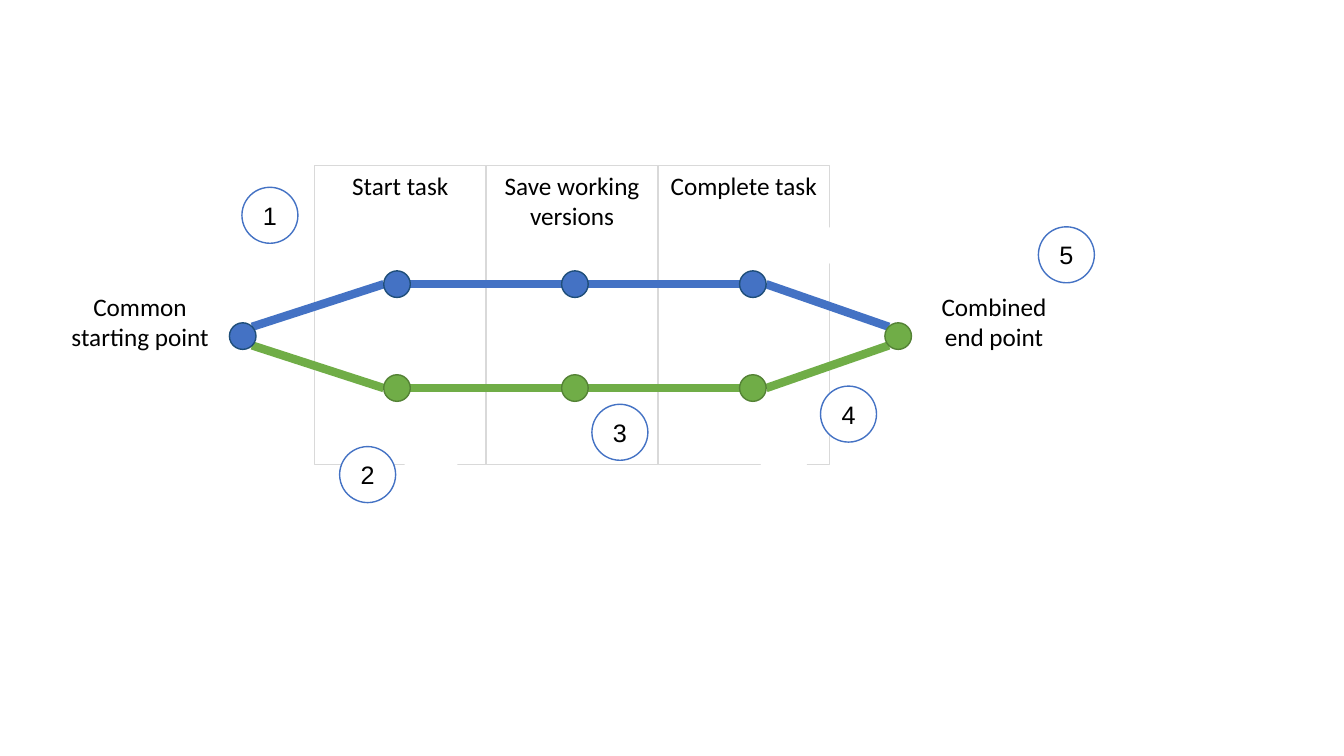
from itertools import pairwise

from pptx import Presentation
from pptx.dml.color import RGBColor
from pptx.enum import shapes, text
from pptx.oxml.ns import qn
from pptx.util import Pt

COLOURS = {
    "white": "FFFFFF", "black": "000000", "grid": "D9D9D9",
    "blue": "4472C4", "navy": "1F4E79", "green": "70AD47", "moss": "548235",
}
RECTANGLE = shapes.MSO_SHAPE.RECTANGLE
OVAL = shapes.MSO_SHAPE.OVAL
NODE = 19
BADGE = 40
GAP = 42.5
STEP = 127.1
CORNER = NODE / 2 * 0.7


def colour(name):
    return RGBColor.from_string(COLOURS[name])


def write(box, words, font="Calibri", size=18, fill="black",
          anchor=text.MSO_ANCHOR.TOP, wrap=True):
    frame = box.text_frame
    frame.word_wrap = wrap
    frame.vertical_anchor = anchor
    para = frame.paragraphs[0]
    para.alignment = text.PP_ALIGN.CENTER
    span = para.add_run()
    span.text = words
    span.font.name = font
    span.font.size = Pt(size)
    span.font.color.rgb = colour(fill)


def add_outline(page, kind, left, top, width, height, fill=None, line=None):
    shape = page.shapes.add_shape(kind, Pt(left), Pt(top), Pt(width), Pt(height))
    shape.shadow.inherit = False
    if fill:
        shape.fill.solid()
        shape.fill.fore_color.rgb = colour(fill)
    else:
        shape.fill.background()
    if line:
        shape.line.color.rgb = colour(line)
        shape.line.width = Pt(1)
    else:
        shape.line.fill.background()
    return shape


def add_node(page, x, y, fill, line):
    add_outline(page, OVAL, x - NODE / 2, y - NODE / 2, NODE, NODE, fill, line)


def add_link(page, start, end, fill):
    link = page.shapes.add_connector(
        shapes.MSO_CONNECTOR.STRAIGHT, *(Pt(value) for value in (*start, *end)))
    link.line.color.rgb = colour(fill)
    link.line.width = Pt(6)
    properties = link._element.spPr
    properties.append(properties.makeelement(qn("a:effectLst"), {}))


def add_stages(page, left, top, width, height):
    stages = ("Start task", "Save working versions", "Complete task")
    column = width / len(stages)
    for index, stage in enumerate(stages):
        cell = add_outline(page, RECTANGLE, left + index * column, top,
                           column, height, line="grid")
        write(cell, stage)
    for x, y in ((62, 202.3), (314, 205.9), (363.6, 36)):
        add_outline(page, OVAL, left + x, top + y, GAP, GAP, "white")


def add_branches(page, left, top, width, height):
    middle = top + height / 2
    right = left + width
    stops = [left + 110.2 + index * STEP for index in range(3)]
    for y, side, fill, line in ((top, -1, "blue", "navy"),
                                (top + height, 1, "green", "moss")):
        bend = middle + side * CORNER
        add_link(page, (left + CORNER, bend), (stops[0] - NODE / 2, y), fill)
        for start, end in pairwise(stops):
            add_link(page, (start + NODE / 2, y), (end - NODE / 2, y), fill)
        add_link(page, (stops[-1] + NODE / 2, y), (right - CORNER, bend), fill)
        for x in stops:
            add_node(page, x, y, fill, line)
    add_node(page, left, middle, "blue", "navy")
    add_node(page, right, middle, "green", "moss")


def add_label(page, words, left, top, width, height):
    box = page.shapes.add_textbox(Pt(left), Pt(top), Pt(width), Pt(height))
    write(box, words)
    box.text_frame.auto_size = text.MSO_AUTO_SIZE.SHAPE_TO_FIT_TEXT


def add_badges(page, left, top):
    places = ((0, 0), (69.8, 185.2), (250, 155), (413.3, 142), (568.9, 28.2))
    for number, (x, y) in enumerate(places, 1):
        badge = add_outline(page, OVAL, left + x, top + y, BADGE, BADGE,
                            "white", "blue")
        write(badge, str(number), font="Arial", anchor=text.MSO_ANCHOR.MIDDLE)


def main():
    deck = Presentation()
    deck.slide_width, deck.slide_height = Pt(960), Pt(540)
    page = deck.slides.add_slide(deck.slide_layouts[6])
    add_stages(page, 224.6, 118.1, 368, 213.8)
    add_branches(page, 173.4, 203, 468.2, 74.2)
    add_label(page, "Common starting point", 36.7, 204.5, 126.7, 51)
    add_label(page, "Combined end point", 661, 204.5, 98, 51)
    add_badges(page, 172.8, 133.8)
    deck.save("out.pptx")


if __name__ == "__main__":
    main()
